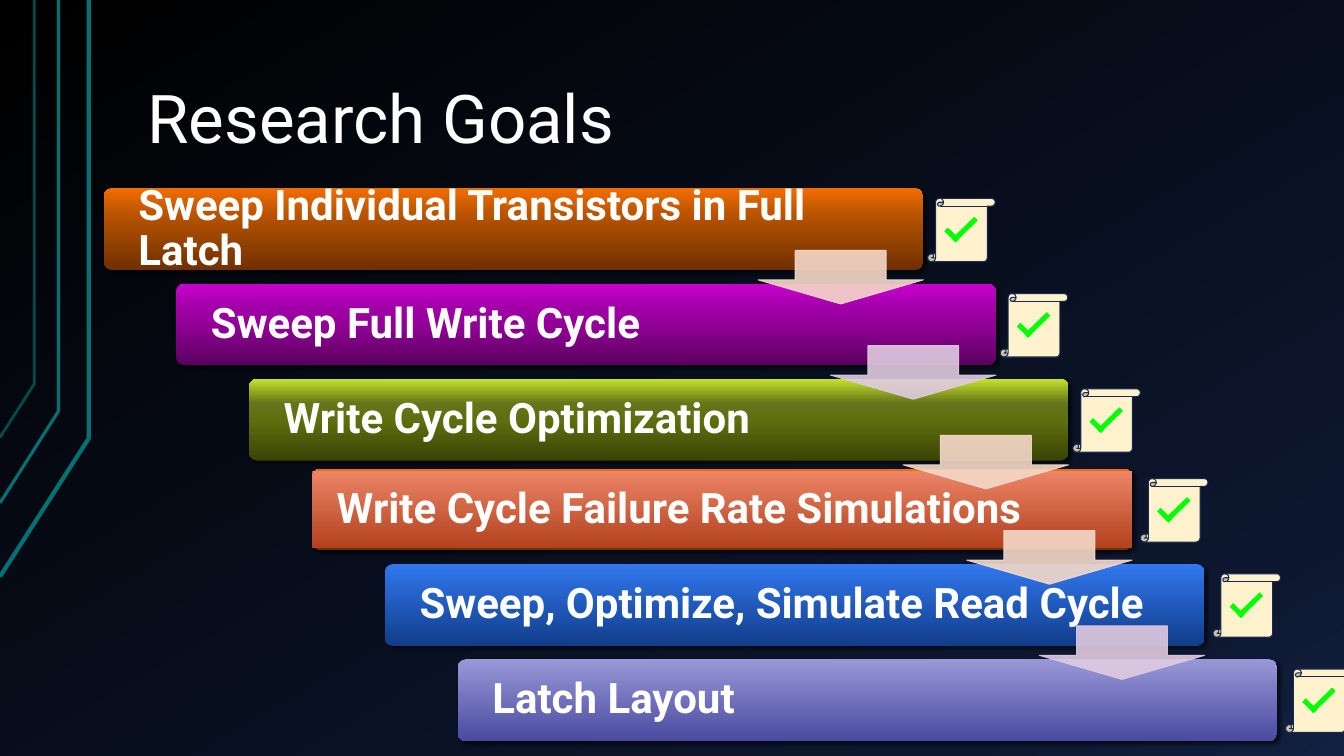
"""Build the Research Goals slide: a staircase of completed goals."""
import pptx
import pptx.util
import pptx.dml.color
import pptx.enum.shapes
import pptx.enum.text
import pptx.oxml.ns
from lxml import etree

SLIDE_WIDTH = pptx.util.Inches(13.33)
SLIDE_HEIGHT = pptx.util.Inches(7.5)
SHAPES = pptx.enum.shapes.MSO_SHAPE
ANCHORS = pptx.enum.text.MSO_ANCHOR
FONT = "Roboto"

BAR_WIDTH, BAR_HEIGHT = 60.98, 10.8
STEP_RIGHT, STEP_DOWN = 5.4, 12.6
PEACH, LILAC = "F5D9C9", "E0CBE1"

ORANGE = ([(0, "703000"), (50, "A44A00"), (70, "BC5500"), (100, "F26D00")], 270)
PURPLE = ([(0, "5A005E"), (50, "920097"), (70, "A100A7"), (100, "C800CE")], 270)
OLIVE = ([(0, "394404"), (50, "5F6F0F"), (70, "65741A"), (100, "C5E22B")], 270)
CORAL = ([(0, "EC8566"), (100, "B2411E")], 90)
BLUE = ([(0, "3177EE"), (100, "113D8A")], 90)
VIOLET = ([(0, "9898D7"), (100, "4A4AA1")], 90)
NIGHT = ([(0, "000000"), (85, "0D172F"), (100, "122041")], 60)

# Each staircase: left, top, scroll offset, then goals as text, bar and panel gradients.
STAIRCASES = [
    (7.72, 24.93, 61.3, [
        ("Sweep Individual Transistors in Full Latch", ORANGE, None),
        ("Sweep Full Write Cycle", PURPLE, None),
        ("Write Cycle Optimization", OLIVE, None),
    ]),
    (23.25, 62, 61.6, [
        ("Write Cycle Failure Rate Simulations", ORANGE, CORAL),
        ("Sweep, Optimize, Simulate Read Cycle", BLUE, None),
        ("Latch Layout", VIOLET, None),
    ]),
]
ARROW_COLOURS = [PEACH, LILAC, PEACH, PEACH, LILAC]
CIRCUIT_LINES = [
    (6.6, 58, 76.27, "007272", 3),
    (4.35, 54.4, 66.53, "007272", 2.25),
    (2.55, 50.8, 57.87, "004C4C", 2),
]


def across(percent):
    """Return a share of the slide's width."""
    return round(SLIDE_WIDTH * percent / 100)


def down(percent):
    """Return a share of the slide's height."""
    return round(SLIDE_HEIGHT * percent / 100)


def colour(hex_string):
    """Turn a hex string into a colour."""
    return pptx.dml.color.RGBColor.from_string(hex_string)


def add_child(parent, tag, **attributes):
    """Append a drawing element with the given attributes."""
    return etree.SubElement(parent, pptx.oxml.ns.qn(tag), **attributes)


def set_gradient(fill, element, stops, angle):
    """Give a fill, held in the element, a linear gradient."""
    fill.gradient()
    gradient = next(element.iter(pptx.oxml.ns.qn("a:gradFill")))
    stop_list = gradient.find(pptx.oxml.ns.qn("a:gsLst"))
    for stop in list(stop_list):
        stop_list.remove(stop)
    for position, hex_string in stops:
        stop = add_child(stop_list, "a:gs", pos=str(position * 1000))
        add_child(stop, "a:srgbClr", val=hex_string)
    gradient.find(pptx.oxml.ns.qn("a:lin")).set("ang", str(angle * 60000))


def write_text(shape, text, size=30, bold=True, anchor=ANCHORS.MIDDLE,
               left=0.32, right=0, vertical=0.07):
    """Write one left-aligned white paragraph into a shape."""
    frame = shape.text_frame
    frame.word_wrap = True
    frame.vertical_anchor = anchor
    frame.margin_left = pptx.util.Inches(left)
    frame.margin_right = pptx.util.Inches(right)
    frame.margin_top = frame.margin_bottom = pptx.util.Inches(vertical)
    paragraph = frame.paragraphs[0]
    paragraph.alignment = pptx.enum.text.PP_ALIGN.LEFT
    paragraph.line_spacing = 0.9
    run = paragraph.add_run()
    run.text = text
    run.font.name = FONT
    run.font.size = pptx.util.Pt(size)
    run.font.bold = bold
    run.font.color.rgb = colour("FFFFFF")


def add_shape(slide, kind, left, top, width, height,
              fill=None, line=None, adjustments=(), rotation=0):
    """Add a preset shape placed by shares of the slide."""
    shape = slide.shapes.add_shape(
        kind, across(left), down(top), across(width), down(height))
    shape.shadow.inherit = False
    shape.rotation = rotation
    for index, value in enumerate(adjustments):
        shape.adjustments[index] = value
    if fill:
        shape.fill.solid()
        shape.fill.fore_color.rgb = colour(fill)
    if line:
        shape.line.color.rgb = colour(line)
        shape.line.width = pptx.util.Pt(0.75)
    else:
        shape.line.fill.background()
    return shape


def add_circuit_line(slide, right, bend, end, hex_string, width):
    """Draw a line down from the top edge that bends to the left edge."""
    builder = slide.shapes.build_freeform(0, down(end))
    builder.add_line_segments(
        [(across(right), down(bend)), (across(right), 0)], close=False)
    shape = builder.convert_to_shape()
    shape.shadow.inherit = False
    shape.fill.background()
    shape.line.color.rgb = colour(hex_string)
    shape.line.width = pptx.util.Pt(width)


def add_goal(slide, left, top, text, gradient, panel_gradient):
    """Add a goal bar, with a square panel in front if it has one."""
    bar = add_shape(slide, SHAPES.ROUNDED_RECTANGLE, left, top,
                    BAR_WIDTH, BAR_HEIGHT, adjustments=[0.1])
    properties = bar.element.spPr
    set_gradient(bar.fill, properties, *gradient)
    effects = properties.find(pptx.oxml.ns.qn("a:effectLst"))
    shadow = add_child(effects, "a:outerShdw", blurRad=str(pptx.util.Pt(3)),
                       dist=str(pptx.util.Pt(2)), dir="2700000", rotWithShape="0")
    add_child(add_child(shadow, "a:srgbClr", val="000000"), "a:alpha", val="60000")
    if panel_gradient:
        panel = add_shape(slide, SHAPES.RECTANGLE, left, top + 0.27,
                          BAR_WIDTH, BAR_HEIGHT - 0.54)
        set_gradient(panel.fill, panel.element.spPr, *panel_gradient)
        write_text(panel, text, left=0.24)
    else:
        write_text(bar, text)


def add_arrow(slide, left, top, hex_string):
    """Add a slightly transparent arrow to the next goal."""
    arrow = add_shape(slide, SHAPES.DOWN_ARROW, left, top, 12.3, 7.07,
                      fill=hex_string, line=hex_string, adjustments=[0.55, 0.45])
    for element in arrow.element.spPr.iter(pptx.oxml.ns.qn("a:srgbClr")):
        add_child(element, "a:alpha", val="90000")


def add_checked_scroll(slide, left, top):
    """Add a scroll bearing a green check mark."""
    add_shape(slide, SHAPES.VERTICAL_SCROLL, left, top, 5.03, 8.4,
              fill="FFF2CC", line="192A52", adjustments=[0.125])
    for right, below, length, angle in [(1.2, 4.53, 1.2, 44.3), (1.6, 3.8, 2.33, 135.7)]:
        add_shape(slide, SHAPES.RECTANGLE, left + right, top + below, length, 0.67,
                  fill="00FF00", rotation=angle)


def main():
    """Build and save the slide."""
    presentation = pptx.Presentation()
    presentation.slide_width = SLIDE_WIDTH
    presentation.slide_height = SLIDE_HEIGHT
    slide = presentation.slides.add_slide(presentation.slide_layouts[5])
    set_gradient(slide.background.fill, slide.element, *NIGHT)

    title = slide.shapes.title
    title.left, title.top = across(10), down(4)
    title.width, title.height = across(85), down(17.87)
    write_text(title, "Research Goals", size=48, bold=False,
               anchor=ANCHORS.BOTTOM, left=0.13, right=0.13)

    for circuit_line in CIRCUIT_LINES:
        add_circuit_line(slide, *circuit_line)

    steps = []
    for left, top, scroll_offset, goals in STAIRCASES:
        for index, goal in enumerate(goals):
            step = (left + index * STEP_RIGHT, top + index * STEP_DOWN)
            add_goal(slide, *step, *goal)
            steps.append((*step, scroll_offset))
    for step, next_step, hex_string in zip(steps, steps[1:], ARROW_COLOURS):
        add_arrow(slide, step[0] + 48.68, next_step[1] - 4.4, hex_string)
    for left, top, scroll_offset in steps:
        add_checked_scroll(slide, left + scroll_offset, top + 1.3)

    presentation.save("out.pptx")


if __name__ == "__main__":
    main()
